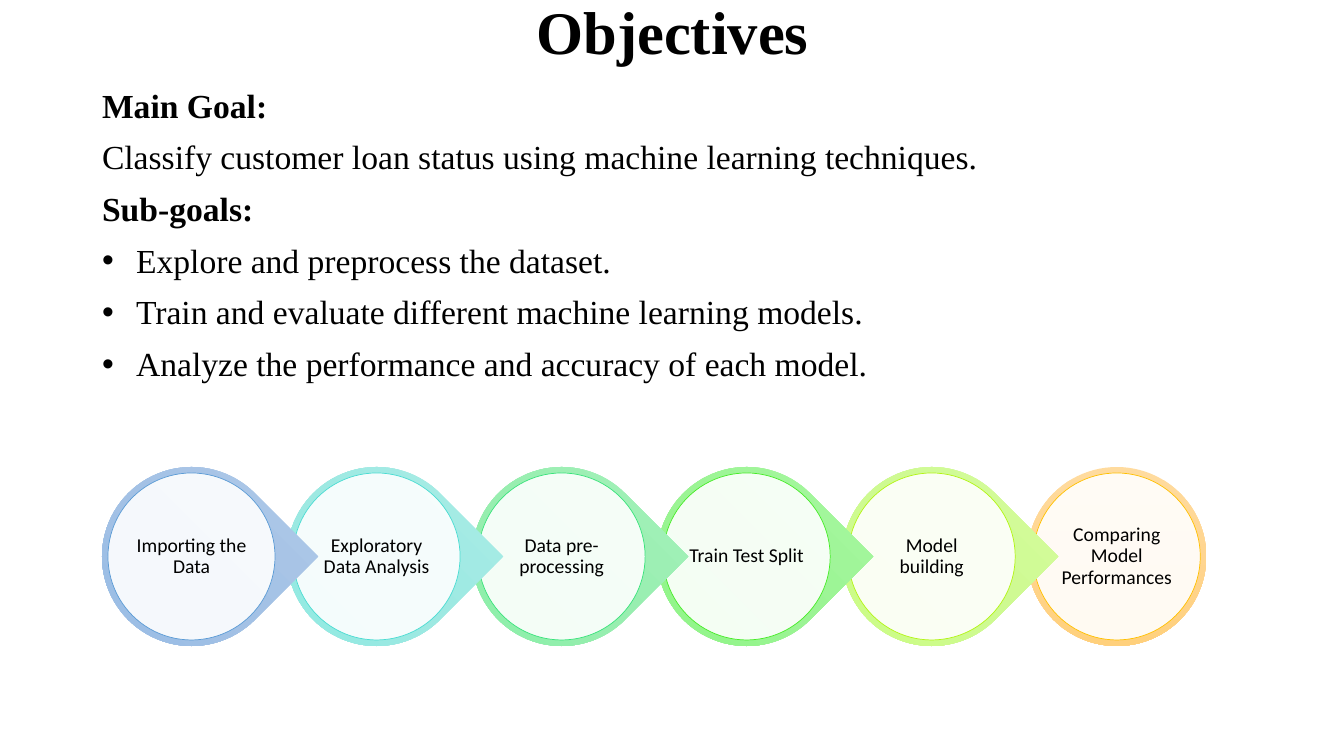
from lxml import etree
from pptx import Presentation
from pptx import util as u
from pptx.dml.color import RGBColor
from pptx.enum import shapes, text
from pptx.oxml import parse_xml
from pptx.oxml.ns import nsdecls, qn

PX = 914400 / 100.8


def px(length):
    return u.Emu(round(length * PX))


def color(hex_code):
    return RGBColor.from_string(hex_code)


class SlideBuilder:
    """Draws styled elements on one slide, with lengths in px."""

    ink = "000000"
    serif = "Times New Roman"
    sans = "Calibri"

    def __init__(self, slide):
        self.slide = slide

    def textbox(self, box, anchor, inset):
        frame = self.slide.shapes.add_textbox(*map(px, box)).text_frame
        frame.word_wrap = True
        frame.vertical_anchor = anchor
        frame.margin_left = frame.margin_right = px(inset[0])
        frame.margin_top = frame.margin_bottom = px(inset[1])
        return frame

    def style(self, paragraph, font, size, bold=False, centered=False, before=0):
        paragraph.line_spacing = 0.9
        paragraph.space_before = u.Pt(before)
        paragraph.alignment = text.PP_ALIGN.CENTER if centered else text.PP_ALIGN.LEFT
        for run in paragraph.runs:
            run.font.name = font
            run.font.size = u.Pt(size)
            run.font.bold = bold
            run.font.color.rgb = color(self.ink)

    def title(self, box, words):
        frame = self.textbox(box, text.MSO_ANCHOR.MIDDLE, (9, 0))
        frame.text = words
        self.style(frame.paragraphs[0], self.serif, 43.2, bold=True, centered=True)

    def body(self, box, lines):
        frame = self.textbox(box, text.MSO_ANCHOR.TOP, (9, 5))
        frame.text = "\n".join(words for words, _ in lines)
        for paragraph, (_, role) in zip(frame.paragraphs, lines):
            first = paragraph is frame.paragraphs[0]
            self.style(paragraph, self.serif, 24, bold=role == "heading",
                       before=0 if first else 11)
            if role == "bullet":
                self.bullet(paragraph, 34)

    def bullet(self, paragraph, indent):
        properties = paragraph._p.get_or_add_pPr()
        properties.set("marL", str(px(indent)))
        properties.set("indent", str(-px(indent)))
        font = etree.SubElement(properties, qn("a:buFont"))
        font.set("typeface", "Arial")
        etree.SubElement(properties, qn("a:buChar")).set("char", "•")

    def shape(self, kind, box):
        shape = self.slide.shapes.add_shape(kind, *map(px, box))
        shape.shadow.inherit = False
        return shape

    def ring(self, kind, box, shades, rotation):
        ring = self.shape(kind, box)
        ring.rotation = rotation
        ring.line.fill.background()
        stops = "".join(
            f'<a:gs pos="{place * 50000}"><a:srgbClr val="{shade}"/></a:gs>'
            for place, shade in enumerate(shades))
        gradient = parse_xml(
            f'<a:gradFill {nsdecls("a")} rotWithShape="1"><a:gsLst>{stops}</a:gsLst>'
            '<a:lin ang="5400000" scaled="0"/></a:gradFill>')
        ring._element.spPr.find(qn("a:prstGeom")).addnext(gradient)

    def disc(self, box, outline):
        disc = self.shape(shapes.MSO_SHAPE.OVAL, box)
        disc.fill.solid()
        disc.fill.fore_color.rgb = color("FFFFFF")
        white = disc._element.spPr.find(qn("a:solidFill"))[0]
        etree.SubElement(white, qn("a:alpha")).set("val", "90000")
        disc.line.color.rgb = color(outline)
        disc.line.width = u.Pt(0.5)

    def label(self, box, words):
        frame = self.textbox(box, text.MSO_ANCHOR.MIDDLE, (1, 1))
        frame.text = words
        self.style(frame.paragraphs[0], self.sans, 14, centered=True)

    def step(self, left, top, size, words, outline, shades, last):
        kind = shapes.MSO_SHAPE.OVAL if last else shapes.MSO_SHAPE.TEAR
        self.ring(kind, (left, top, size, size), shades, 0 if last else 45)
        disc, label = [(left + gap, top + gap, size - 2 * gap, size - 2 * gap)
                       for gap in (6, 30)]
        self.disc(disc, outline)
        self.label(label, words)


GOALS = [
    ("Main Goal:", "heading"),
    ("Classify customer loan status using machine learning techniques.", "plain"),
    ("Sub-goals:", "heading"),
    ("Explore and preprocess the dataset.", "bullet"),
    ("Train and evaluate different machine learning models.", "bullet"),
    ("Analyze the performance and accuracy of each model.", "bullet"),
]

STEPS = [
    ("Importing the Data", "5B9BD5", ("B1CBE9", "A3C1E5", "93B9E4")),
    ("Exploratory Data Analysis", "4ADCD2", ("ABEDE7", "9DE9E2", "8BEAE2")),
    ("Data pre-processing", "39E37B", ("A6F2BC", "98EEB0", "84F0A4")),
    ("Train Test Split", "46EC27", ("A9F7A2", "9BF494", "89F780")),
    ("Model building", "B2F514", ("D5FC9F", "CEFA91", "CAFF7D")),
    ("Comparing Model Performances", "FFC000", ("FFDB9E", "FFD590", "FFD07C")),
]


def main():
    deck = Presentation()
    deck.slide_width, deck.slide_height = u.Inches(13.33), u.Inches(7.5)
    builder = SlideBuilder(deck.slides.add_slide(deck.slide_layouts[6]))
    builder.title((93, 10, 1159, 50), "Objectives")
    builder.body((93, 84, 1159, 632), GOALS)
    final = len(STEPS) - 1
    for place, (words, outline, shades) in reversed(list(enumerate(STEPS))):
        builder.step(102 + 185 * place, 467, 179, words, outline, shades, place == final)
    deck.save("out.pptx")


if __name__ == "__main__":
    main()
